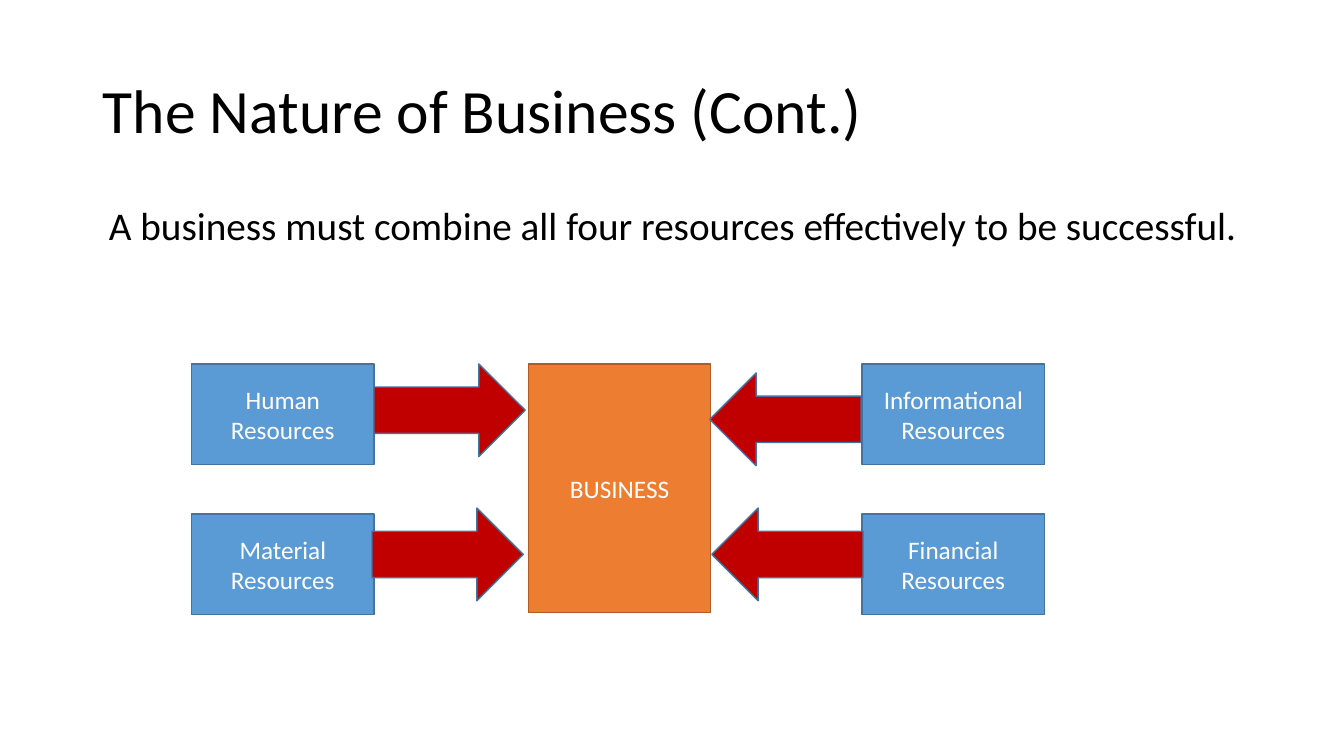
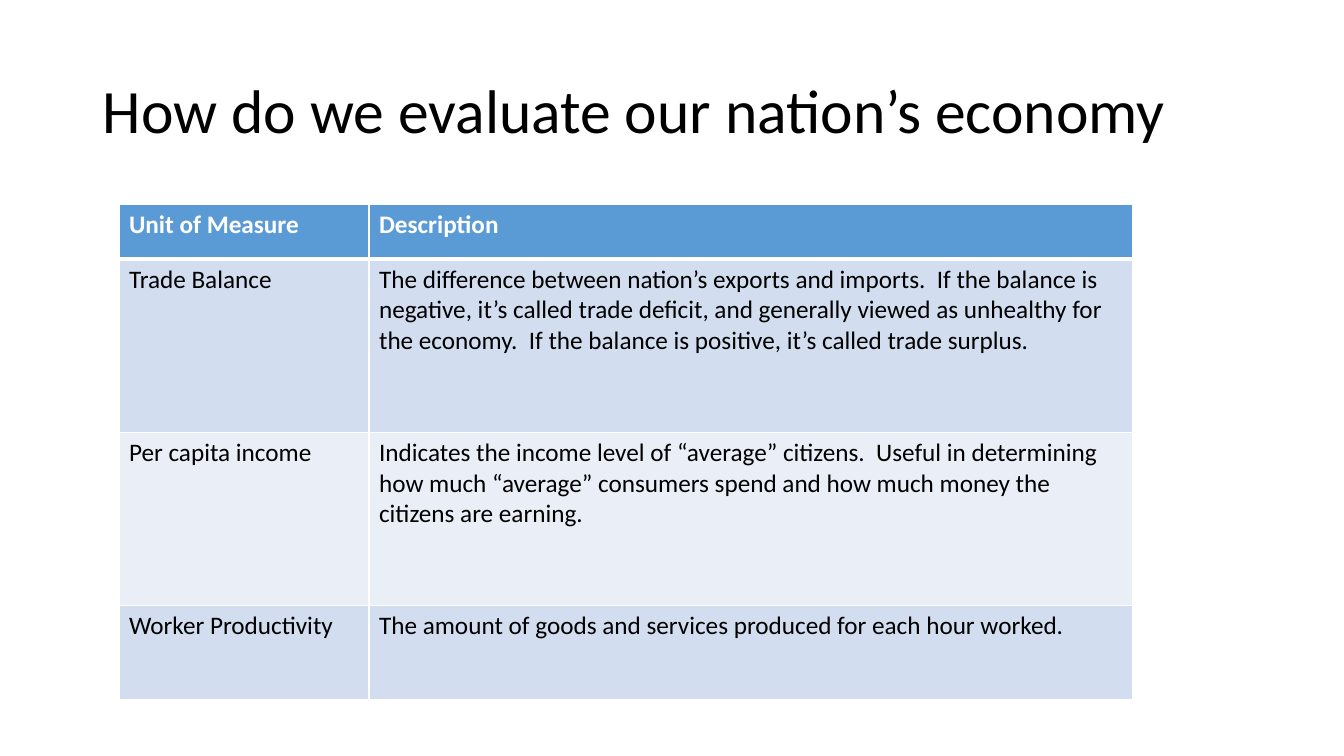
from lxml import etree
from pptx import Presentation
from pptx.dml.color import RGBColor
from pptx.enum.shapes import MSO_SHAPE
from pptx.enum.text import MSO_ANCHOR, PP_ALIGN
from pptx.oxml.ns import qn
from pptx.util import Inches, Pt

# Shared style
FONT = "Calibri"
BLACK, WHITE = "000000", "FFFFFF"
BLUE, BLUE_LINE = "5B9BD5", "43739E"
ORANGE, ORANGE_LINE = "ED7D31", "AF5C24"
RED = "C00000"
BANDS = ("D2DEEF", "EAEFF7")
TITLE_BOX = (0.92, 0.4, 11.5, 1.45)

MEASURES = [
    ("Unit of Measure", "Description"),
    ("Trade Balance",
     "The difference between nation’s exports and imports.  If the balance is "
     "negative, it’s called trade deficit, and generally viewed as unhealthy for "
     "the economy.  If the balance is positive, it’s called trade surplus."),
    ("Per capita income",
     "Indicates the income level of “average” citizens.  Useful in determining "
     "how much “average” consumers spend and how much money the citizens are earning."),
    ("Worker Productivity",
     "The amount of goods and services produced for each hour worked."),
]


def color(hex_text):
    return RGBColor.from_string(hex_text)


def inches(box):
    return [Inches(length) for length in box]


def write(text_frame, text, size, text_color, align=PP_ALIGN.LEFT, bold=False, spacing=1.0):
    """Fill a text frame, one paragraph for each line."""
    text_frame.text = text
    text_frame.word_wrap = True
    for paragraph in text_frame.paragraphs:
        paragraph.alignment = align
        paragraph.line_spacing = spacing
        paragraph.font.name = FONT
        paragraph.font.size = Pt(size)
        paragraph.font.bold = bold
        paragraph.font.color.rgb = color(text_color)


def add_titled_slide(presentation, text):
    slide = presentation.slides.add_slide(presentation.slide_layouts[5])
    title = slide.shapes.title
    title.left, title.top, title.width, title.height = inches(TITLE_BOX)
    write(title.text_frame, text, 44, BLACK, spacing=0.9)
    title.text_frame.vertical_anchor = MSO_ANCHOR.MIDDLE
    return slide


def add_block(slide, kind, box, fill, line, text=""):
    shape = slide.shapes.add_shape(kind, *inches(box))
    shape.shadow.inherit = False
    shape.fill.solid()
    shape.fill.fore_color.rgb = color(fill)
    shape.line.color.rgb = color(line)
    shape.line.width = Pt(1)
    if text:
        write(shape.text_frame, text, 18, WHITE, PP_ALIGN.CENTER)
        shape.text_frame.vertical_anchor = MSO_ANCHOR.MIDDLE


def add_statement(slide, box, text):
    text_box = slide.shapes.add_textbox(*inches(box))
    write(text_box.text_frame, text, 28, BLACK, PP_ALIGN.CENTER, spacing=0.9)


def add_resource_diagram(slide, box):
    """Four resources point at the business between them."""
    left, top, width, height = box
    block_width, block_height = 1.81, 1.0
    columns = (left, left + width - block_width)
    rows = (top, top + height - block_height)
    names = (("Human", "Informational"), ("Material", "Financial"))
    for y, row_names in zip(rows, names):
        for x, name in zip(columns, row_names):
            add_block(slide, MSO_SHAPE.RECTANGLE, (x, y, block_width, block_height),
                      BLUE, BLUE_LINE, f"{name}\nResources")

    add_block(slide, MSO_SHAPE.RECTANGLE, (left + 3.34, top, block_width, 2.47),
              ORANGE, ORANGE_LINE, "BUSINESS")

    # Arrows, placed from the corner of the diagram
    arrows = (
        (MSO_SHAPE.RIGHT_ARROW, 1.81, 0),
        (MSO_SHAPE.LEFT_ARROW, 5.16, 1.43),
        (MSO_SHAPE.LEFT_ARROW, 5.14, 0.09),
        (MSO_SHAPE.RIGHT_ARROW, 1.79, 1.43),
    )
    for kind, x, y in arrows:
        add_block(slide, kind, (left + x, top + y, 1.5, 0.92), RED, BLUE_LINE)


def set_borders(cell, widths):
    """Draw white cell borders; widths in points by side."""
    properties = cell._tc.get_or_add_tcPr()
    for side, width in widths.items():
        line = etree.SubElement(properties, qn(f"a:ln{side}"), w=str(Pt(width)))
        fill = etree.SubElement(line, qn("a:solidFill"))
        etree.SubElement(fill, qn("a:srgbClr"), val=WHITE)


def add_measure_table(slide, box, column_widths, row_heights):
    table = slide.shapes.add_table(len(row_heights), len(column_widths), *inches(box)).table
    for column, width in zip(table.columns, column_widths):
        column.width = Inches(width)
    for index, (row, height, texts) in enumerate(zip(table.rows, row_heights, MEASURES)):
        row.height = Inches(height)
        header = index == 0
        for cell, text in zip(row.cells, texts):
            write(cell.text_frame, text, 18, WHITE if header else BLACK, bold=header)
            set_borders(cell, {"L": 1, "R": 1, "T": 3 if index == 1 else 1,
                               "B": 3 if header else 1})
            cell.fill.solid()
            cell.fill.fore_color.rgb = color(BLUE if header else BANDS[(index - 1) % 2])


def main():
    presentation = Presentation()
    presentation.slide_width, presentation.slide_height = inches((13.33, 7.5))

    slide = add_titled_slide(presentation, "The Nature of Business (Cont.)")
    add_statement(slide, (0.92, 2, 11.5, 0.6),
                  "A business must combine all four resources effectively to be successful.")
    add_resource_diagram(slide, (1.9, 3.61, 8.46, 2.49))

    slide = add_titled_slide(presentation, "How do we evaluate our nation’s economy")
    add_measure_table(slide, (1.18, 2.03, 10.05, 4.91), (2.48, 7.57), (0.54, 1.72, 1.72, 0.93))

    presentation.save("out.pptx")


if __name__ == "__main__":
    main()
